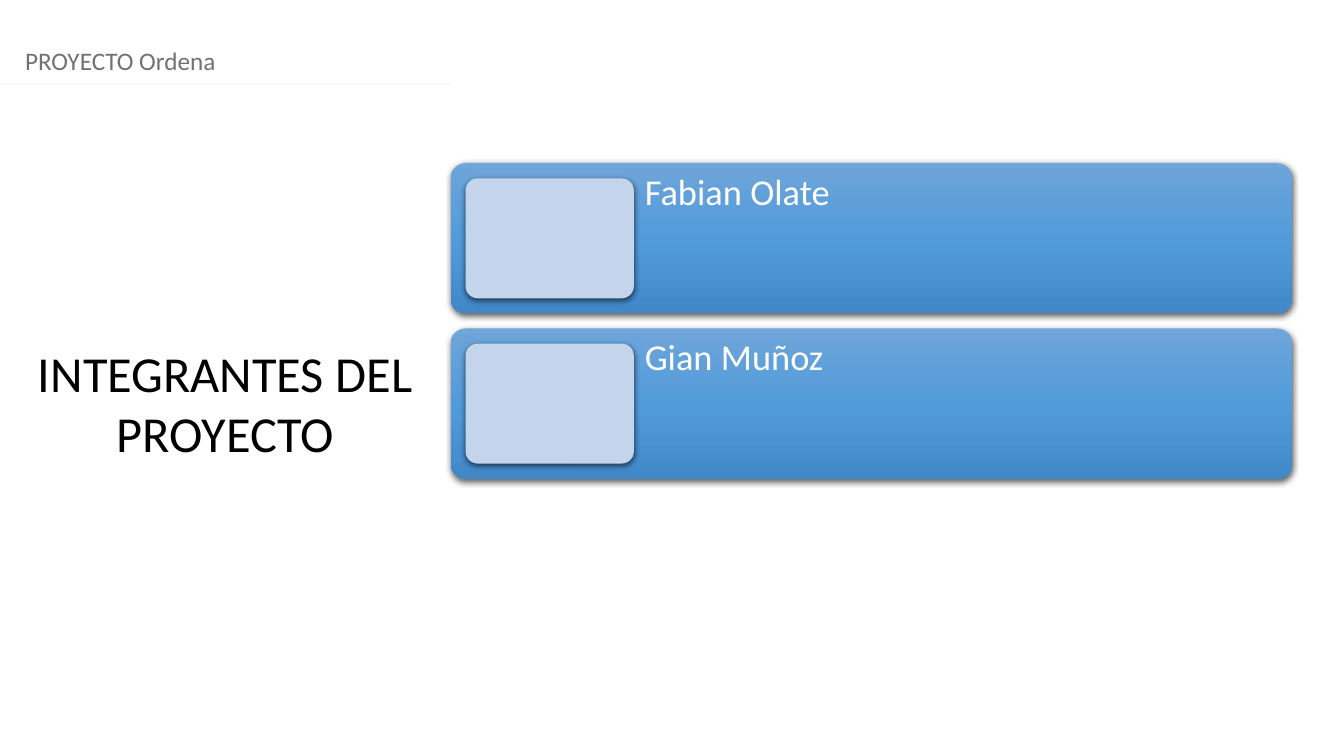
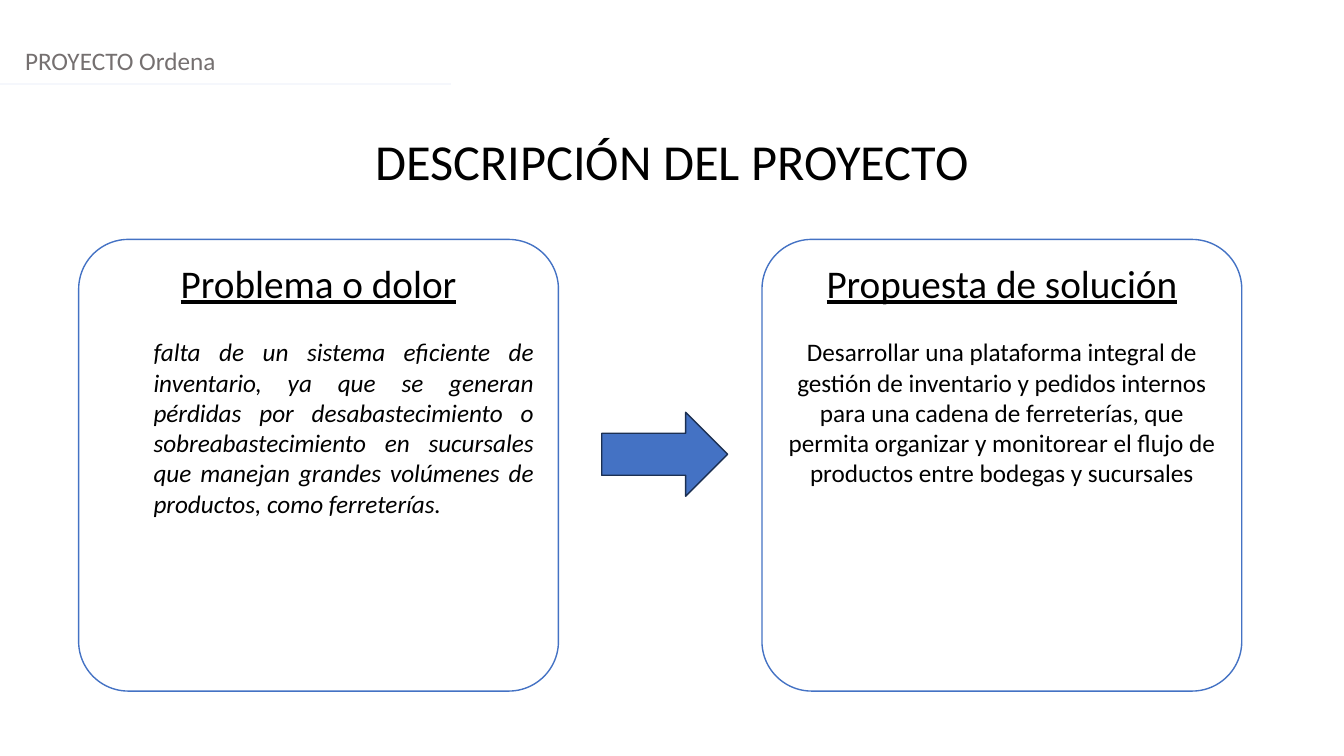
from copy import deepcopy
from dataclasses import dataclass

from lxml.etree import SubElement
from pptx import Presentation
from pptx.dml.color import RGBColor
from pptx.enum.shapes import MSO_CONNECTOR as Connector, MSO_SHAPE as Shape
from pptx.enum.text import MSO_ANCHOR as Anchor, PP_ALIGN as Align
from pptx.oxml.ns import qn
from pptx.util import Pt

# Shared look
FONT = "Calibri"
BLACK = RGBColor(0x00, 0x00, 0x00)
WHITE = RGBColor(0xFF, 0xFF, 0xFF)
GRAY = RGBColor(0x75, 0x70, 0x70)
PALE = RGBColor(0xF5, 0xF7, 0xFC)
BLUE = RGBColor(0x44, 0x72, 0xC4)
NAVY = RGBColor(0x1C, 0x30, 0x52)
PHOTO_BLUE = RGBColor(0xC3, 0xD4, 0xEB)
CARD_BLUES = (RGBColor(0x6E, 0xA5, 0xDA), RGBColor(0x52, 0x9B, 0xDA), RGBColor(0x41, 0x88, 0xC8))

SLIDE_WIDTH, SLIDE_HEIGHT = 960, 540
HEADER = "PROYECTO Ordena"
TITLE_FORMAT = {"size": 36, "align": Align.CENTER}
HEADING_FORMAT = {"size": 28, "underline": True, "align": Align.CENTER}

# Member cards
MEMBERS = ("Fabian Olate", "Gian Muñoz")
CARD_LEFT, CARD_TOP, CARD_WIDTH, CARD_HEIGHT = 321.8, 116.6, 601.2, 107.3
CARD_PITCH = CARD_HEIGHT * 1.1
PHOTO_INSET, PHOTO_WIDTH = 10.8, 120.2

# Description panels
PANEL_TOP, PANEL_WIDTH, PANEL_HEIGHT = 171, 342.7, 322.6


@dataclass(frozen=True)
class Box:
    left: float
    top: float
    width: float
    height: float

    def lengths(self) -> tuple:
        return tuple(Pt(value) for value in (self.left, self.top, self.width, self.height))


@dataclass(frozen=True)
class Panel:
    left: float
    heading: str
    body: str
    body_format: dict


PANELS = (
    Panel(56.2, "Problema o dolor",
          "falta de un sistema eficiente de inventario, ya que se generan pérdidas por "
          "desabastecimiento o sobreabastecimiento en sucursales que manejan grandes "
          "volúmenes de productos, como ferreterías.",
          {"italic": True, "align": Align.JUSTIFY, "indent": 36}),
    Panel(544.3, "Propuesta de solución",
          "Desarrollar una plataforma integral de gestión de inventario y pedidos internos "
          "para una cadena de ferreterías, que permita organizar y monitorear el flujo de "
          "productos entre bodegas y sucursales",
          {"align": Align.CENTER}),
)


def write(paragraph, text: str, size: float, color=BLACK, align=Align.LEFT, indent: float = 0,
          line_spacing: float = 1.0, space_before: float = 0, **font_format) -> None:
    paragraph_format = {"alignment": align, "line_spacing": line_spacing,
                        "space_before": Pt(space_before)}
    for name, value in paragraph_format.items():
        setattr(paragraph, name, value)
    if indent:
        paragraph._p.get_or_add_pPr().set("marL", str(Pt(indent)))
    run = paragraph.add_run()
    run.text = text
    for name, value in {"name": FONT, "size": Pt(size), **font_format}.items():
        setattr(run.font, name, value)
    run.font.color.rgb = color


def add_text(slide, box: Box, text: str, margin: float = 0, **text_format) -> None:
    frame = slide.shapes.add_textbox(*box.lengths()).text_frame
    frame.word_wrap = True
    if margin:
        for side in ("left", "top", "right", "bottom"):
            setattr(frame, f"margin_{side}", Pt(margin))
    write(frame.paragraphs[0], text, **text_format)


def add_block(slide, kind: Shape, box: Box, fill=None, line=None, corner: float = 0):
    shape = slide.shapes.add_shape(kind, *box.lengths())
    shape.shadow.inherit = False
    if corner:
        shape.adjustments[0] = corner
    if fill is not None:
        shape.fill.solid()
        shape.fill.fore_color.rgb = fill
    if line is None:
        shape.line.fill.background()
    else:
        shape.line.color.rgb = line
        shape.line.width = Pt(1)
    return shape


def fill_gradient(shape, colors: tuple) -> None:
    """Fill from top to bottom with three evenly spaced colours."""
    shape.fill.gradient()
    shape.fill.gradient_angle = 270
    stop_list = shape._element.spPr.find(qn("a:gradFill")).find(qn("a:gsLst"))
    stop_list.insert(1, deepcopy(stop_list[0]))
    for index, (stop, color) in enumerate(zip(shape.fill.gradient_stops, colors)):
        stop.position = index / 2
        stop.color.rgb = color


def add_shadow(shape) -> None:
    effects = shape._element.spPr.find(qn("a:effectLst"))
    shadow = SubElement(effects, qn("a:outerShdw"), blurRad=str(Pt(4.5)), dist=str(Pt(1.5)),
                        dir="5400000", algn="ctr", rotWithShape="0")
    color = SubElement(shadow, qn("a:srgbClr"), val=str(BLACK))
    SubElement(color, qn("a:alpha"), val="63000")


def add_slide(presentation, title: str, title_box: Box):
    """Add a slide with the shared header, rule and title."""
    slide = presentation.slides.add_slide(presentation.slide_layouts[6])
    add_text(slide, Box(10.8, 28.8, 940, 28.8), HEADER, size=18, color=GRAY)
    rule = slide.shapes.add_connector(Connector.STRAIGHT, Pt(0), Pt(60), Pt(CARD_LEFT), Pt(60))
    rule.line.color.rgb = PALE
    rule.line.width = Pt(1.25)
    SubElement(rule._element.spPr, qn("a:effectLst"))
    add_text(slide, title_box, title, **TITLE_FORMAT)
    return slide


def add_member(slide, name: str, top: float) -> None:
    card = add_block(slide, Shape.ROUNDED_RECTANGLE,
                     Box(CARD_LEFT, top, CARD_WIDTH, CARD_HEIGHT), corner=0.1)
    fill_gradient(card, CARD_BLUES)
    photo_left = CARD_LEFT + PHOTO_INSET
    photo = add_block(slide, Shape.ROUNDED_RECTANGLE,
                      Box(photo_left, top + PHOTO_INSET, PHOTO_WIDTH,
                          CARD_HEIGHT - 2 * PHOTO_INSET), fill=PHOTO_BLUE, corner=0.1)
    for shape in (card, photo):
        add_shadow(shape)
    text_left = photo_left + PHOTO_WIDTH
    add_text(slide, Box(text_left, top, CARD_LEFT + CARD_WIDTH - text_left, CARD_HEIGHT), name,
             margin=7.8, size=26, color=WHITE, line_spacing=0.9)


def add_panel(slide, panel: Panel) -> None:
    shape = add_block(slide, Shape.ROUNDED_RECTANGLE,
                      Box(panel.left, PANEL_TOP, PANEL_WIDTH, PANEL_HEIGHT),
                      fill=WHITE, line=BLUE, corner=0.11)
    frame = shape.text_frame
    frame.word_wrap = True
    frame.vertical_anchor = Anchor.TOP
    write(frame.paragraphs[0], panel.heading, **HEADING_FORMAT)
    write(frame.add_paragraph(), panel.body, size=18, space_before=22, **panel.body_format)


def main() -> None:
    presentation = Presentation()
    presentation.slide_width = Pt(SLIDE_WIDTH)
    presentation.slide_height = Pt(SLIDE_HEIGHT)

    # Project members
    slide = add_slide(presentation, "INTEGRANTES DEL PROYECTO", Box(18.7, 240.5, 284.4, 94.3))
    for index, name in enumerate(MEMBERS):
        add_member(slide, name, CARD_TOP + index * CARD_PITCH)

    # Project description
    slide = add_slide(presentation, "DESCRIPCIÓN DEL PROYECTO", Box(0, 89.3, SLIDE_WIDTH, 51))
    for panel in PANELS:
        add_panel(slide, panel)
    add_block(slide, Shape.RIGHT_ARROW, Box(429.8, 294.5, 90, 60), fill=BLUE, line=NAVY)

    presentation.save("out.pptx")


if __name__ == "__main__":
    main()
